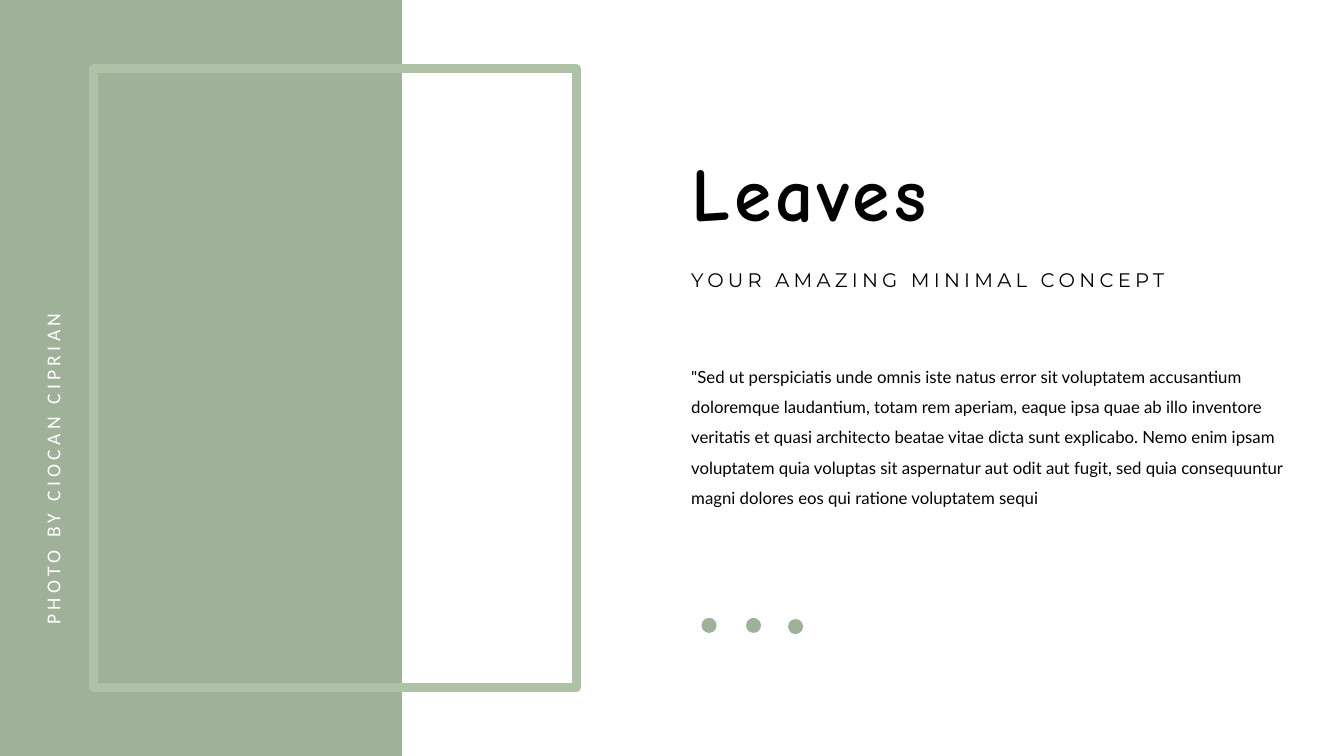
from pptx import Presentation, util as u
from pptx.dml.color import RGBColor
from pptx.enum import shapes, text

HUES = {"sage": "A0B19A", "frame": "AFC1A7", "ink": "000000", "white": "FFFFFF"}
BODY = (
    '"Sed ut perspiciatis unde omnis iste natus error sit voluptatem accusantium '
    "doloremque laudantium, totam rem aperiam, eaque ipsa quae ab illo inventore "
    "veritatis et quasi architecto beatae vitae dicta sunt explicabo. Nemo enim ipsam "
    "voluptatem quia voluptas sit aspernatur aut odit aut fugit, sed quia consequuntur "
    "magni dolores eos qui ratione voluptatem sequi"
)


def hue(name):
    """Return the named colour."""
    return RGBColor.from_string(HUES[name])


def add_form(slide, kind, box, fill=None, line=None, width=6):
    """Add a flat shape with an optional fill and outline."""
    form = slide.shapes.add_shape(kind, *map(u.Cm, box))
    form.shadow.inherit = False
    if fill:
        form.fill.solid()
        form.fill.fore_color.rgb = hue(fill)
    else:
        form.fill.background()
    if line:
        form.line.color.rgb = hue(line)
        form.line.width = u.Pt(width)
    else:
        form.line.fill.background()


def add_text(slide, box, words, face, size, ink="ink", bold=False, track=0, lead=None, wrap=True):
    """Add a one-paragraph text box and return it."""
    area = slide.shapes.add_textbox(*map(u.Cm, box))
    frame = area.text_frame
    frame.word_wrap = wrap
    frame.vertical_anchor = text.MSO_ANCHOR.TOP
    para = frame.paragraphs[0]
    para.text = words
    if lead:
        para.line_spacing = lead
    font = para.font
    font.name, font.size, font.bold = face, u.Pt(size), bold
    font.color.rgb = hue(ink)
    if track:
        font._rPr.set("spc", str(track * 100))
    return area


def add_panel(slide, left, top, width, height):
    """Draw the green panel with its frame and upright credit."""
    rect = shapes.MSO_SHAPE.RECTANGLE
    add_form(slide, rect, (left, top, width, height), fill="sage")
    add_form(slide, rect, (left + 2.36, top + 1.73, 12.17, 15.6), line="frame")
    credit = add_text(slide, (left - 2.92, top + 11.3, 8.51, 0.86),
                      "PHOTO BY CIOCAN CIPRIAN", "Calibri", 14, "white", track=3, wrap=False)
    credit.rotation = 270


def add_story(slide, left, top, width):
    """Place the title, subtitle, body and dots in a column."""
    add_text(slide, (left, top, width, 2.57), "Leaves", "Comic Neue", 54, bold=True, track=3)
    add_text(slide, (left, top + 3.07, width, 0.86),
             "YOUR AMAZING MINIMAL CONCEPT", "Montserrat", 14, track=3)
    add_text(slide, (left, top + 5.3, width, 5.23), BODY, "Lato", 12, lead=1.5)
    for across, down in ((0.51, 12.01), (1.63, 12.01), (2.69, 12.04)):
        add_form(slide, shapes.MSO_SHAPE.OVAL, (left + across, top + down, 0.38, 0.38), fill="sage")


def main():
    """Build and save the slide."""
    deck = Presentation()
    deck.slide_width, deck.slide_height = u.Cm(33.87), u.Cm(19.05)
    slide = deck.slides.add_slide(deck.slide_layouts[6])
    add_panel(slide, 0, 0, 10.13, 19.05)
    add_story(slide, 17.17, 3.56, 15.54)
    deck.save("out.pptx")


if __name__ == "__main__":
    main()
